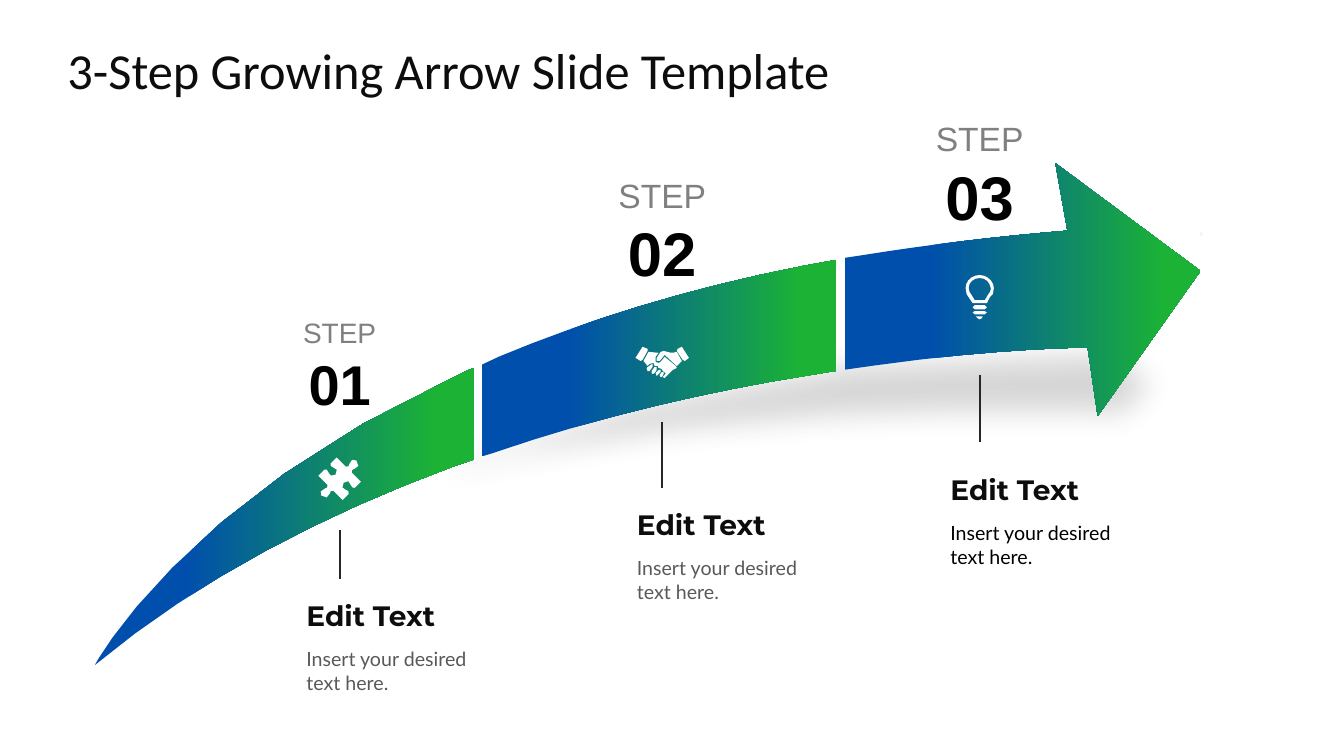
import math

from lxml import etree
from pptx import Presentation
from pptx.dml.color import RGBColor
from pptx.enum.shapes import MSO_CONNECTOR
from pptx.enum.text import MSO_ANCHOR, MSO_AUTO_SIZE, PP_ALIGN
from pptx.oxml.ns import qn
from pptx.util import Cm, Pt

STRAIGHT = MSO_CONNECTOR.STRAIGHT
TOP, MIDDLE, BOTTOM = MSO_ANCHOR.TOP, MSO_ANCHOR.MIDDLE, MSO_ANCHOR.BOTTOM
LEFT, CENTER = PP_ALIGN.LEFT, PP_ALIGN.CENTER
NO_FIT, GROW = MSO_AUTO_SIZE.NONE, MSO_AUTO_SIZE.SHAPE_TO_FIT_TEXT

UNIT = Cm(0.0254)  # one step of the outline coordinates
MOST_PIECES, PIECE = 8, 4  # a curve becomes lines about one piece long

# Outlines: M = move, L = line, C = cubic curve, Z = close
SEGMENTS = [
    "M 953 0 L 1097 107 L 995 251 L 985 183 C 985 183 899 183 772 201 L 744 205 "
    "L 744 94 L 764 91 C 826 81 893 73 965 67 Z",
    "M 736 96 L 736 206 L 705 211 C 612 226 504 250 394 288 L 384 291 L 384 200 "
    "L 401 192 C 485 157 585 125 703 102 Z",
    "M 376 203 L 376 294 L 353 302 C 229 348 105 411 0 498 C 0 498 85 336 361 210 Z",
]
ARROW_SHADOW = ("M -19 512 C -19 512 236 147 978 160 L 973 101 "
                "L 1108 215 L 993 348 L 989 279 C 989 279 321 241 -19 512 Z")
SHADOW_CENTER, SHADOW_TURN = (548, 313), 4.7
TIP = "M 1097 68 L 1099 70 L 1097 74 Z"

PUZZLE = [
    "M 27 32 C 24 32 22 28 25 25 C 28 22 32 23 32 27 C 32 29 35 31 36 30 L 42 24 L 33 15 "
    "C 32 13 34 11 36 11 C 40 11 41 6 38 4 L 38 3 C 35 1 31 2 31 6 C 31 8 29 10 27 9 "
    "L 18 0 L 12 6 C 11 7 13 10 15 10 C 18 9 20 14 17 17 C 14 19 10 18 10 15 "
    "C 10 13 7 10 6 12 L 0 18 L 9 27 C 10 29 8 31 6 31 C 2 31 1 36 3 38 L 4 38 "
    "C 6 41 11 40 11 36 C 11 34 13 32 15 33 L 24 42 L 30 36 C 31 34 29 32 27 32 Z",
]
HANDSHAKE = [
    # fingers
    "M 25 30 L 24 28 L 26 25 L 28 25 L 28 27 L 26 30 Z",
    "M 21 29 L 20 26 L 23 23 L 25 23 L 25 25 L 22 28 Z",
    "M 17 27 L 16 26 L 16 24 L 19 20 L 21 20 L 21 23 L 19 26 Z",
    "M 13 24 L 12 24 L 11 21 L 15 18 L 17 17 L 17 20 L 14 24 Z",
    # left cuff and hand
    "M 0 11 L 5 14 L 7 13 L 12 4 L 12 2 L 7 0 Z",
    "M 40 19 L 29 10 L 25 15 L 23 16 L 20 15 L 20 10 L 23 6 L 13 5 L 8 14 L 12 19 L 14 17 "
    "L 18 16 L 19 19 L 22 19 L 23 21 L 26 22 L 27 24 L 30 26 L 29 28 L 27 30 L 29 31 "
    "L 32 28 L 34 26 L 37 23 L 41 21 Z",
    # right cuff and hand
    "M 53 11 L 49 14 L 47 13 L 41 4 L 42 2 L 46 0 Z",
    "M 41 5 C 36 7 32 5 28 4 L 25 5 L 21 11 L 21 14 L 24 14 L 29 8 L 41 19 L 46 14 Z",
]
BULB = [
    # socket
    "M 9 30 L 19 30 L 21 32 L 19 34 L 9 34 L 7 32 Z",
    "M 9 36 L 19 36 L 21 37 L 19 39 L 9 39 L 7 37 Z",
    "M 10 41 L 12 43 L 14 44 L 16 43 L 17 41 Z",
    # glass, outside and inside
    "M 14 0 C 6 0 0 6 0 13 L 1 19 L 3 22 L 7 28 L 21 28 L 24 22 L 27 19 L 28 13 "
    "C 28 6 21 0 14 0 Z M 25 14 L 24 17 L 22 20 L 19 25 L 9 25 L 6 20 L 4 17 "
    "L 3 13 C 3 7 8 3 14 3 C 20 3 24 7 25 13 Z",
]

# number, centre x, label top, label sizes, icon, icon width and top,
# line top and bottom, text left and top, body colour (cm)
STEPS = [
    ("01", 8.56, 7.95, (20, 40), PUZZLE, 1.07, 11.53, 13.36, 14.58, 7.72, 14.94, "595959"),
    ("02", 16.69, 4.57, (24, 44), HANDSHAKE, 1.35, 8.74, 10.64, 12.29, 16.05, 12.65, "595959"),
    ("03", 24.69, 3.15, (24, 44), BULB, 0.71, 6.93, 9.45, 11.13, 23.95, 11.76, "000000"),
]


def rgb(value):
    return RGBColor.from_string(value)


def contours(outline):
    """Turn an outline into lists of points, with curves divided into short lines."""
    found = []
    words = iter(outline.split())
    for word in words:
        if word == "Z":
            continue
        count = 3 if word == "C" else 1
        ends = [(float(next(words)), float(next(words))) for _ in range(count)]
        if word == "M":
            found.append(ends)
        elif word == "L":
            found[-1] += ends
        else:
            curve = [found[-1][-1]] + ends
            pieces = min(MOST_PIECES, math.ceil(math.dist(curve[0], curve[-1]) / PIECE))
            for i in range(1, pieces + 1):
                t = i / pieces
                weights = (1 - t) ** 3, 3 * t * (1 - t) ** 2, 3 * t * t * (1 - t), t ** 3
                found[-1].append(tuple(sum(w * p[axis] for w, p in zip(weights, curve))
                                       for axis in (0, 1)))
    return found


def turned(point, center, degrees):
    a = math.radians(degrees)
    dx, dy = point[0] - center[0], point[1] - center[1]
    return (center[0] + dx * math.cos(a) - dy * math.sin(a),
            center[1] + dx * math.sin(a) + dy * math.cos(a))


def add_outline(shapes, left, top, outline, color=None, center=(0, 0), turn=0):
    builder = None
    for points in contours(outline):
        points = [turned(p, center, -turn) for p in points]
        start, *rest = [(left + x * UNIT, top + y * UNIT) for x, y in points]
        if builder is None:
            builder = shapes.build_freeform(*start, scale=1.0)
        else:
            builder.move_to(*start)
        builder.add_line_segments(rest, close=True)
    s = builder.convert_to_shape()
    s.rotation = turn
    s.shadow.inherit = False
    s.line.fill.background()
    if color:
        s.fill.solid()
        s.fill.fore_color.rgb = rgb(color)
    return s


def add_text(slide, left, top, width, height, lines, anchor=TOP, align=LEFT, margin=0, fit=NO_FIT):
    """Each line is text, size, font, colour, bold."""
    tf = slide.shapes.add_textbox(left, top, width, height).text_frame
    tf.word_wrap, tf.auto_size, tf.vertical_anchor = True, fit, anchor
    tf.margin_left = tf.margin_right = 0
    tf.margin_top = tf.margin_bottom = margin
    tf.text = "\n".join(line[0] for line in lines)
    for p, (_, size, font, color, bold) in zip(tf.paragraphs, lines):
        p.alignment = align
        f = p.runs[0].font
        f.size, f.name, f.bold, f.color.rgb = Pt(size), font, bold, rgb(color)


def add_title(slide, left, top, width, height):
    s = slide.shapes.title
    s.left, s.top, s.width, s.height = left, top, width, height
    tf = s.text_frame
    tf.text = "3-Step Growing Arrow Slide Template"
    tf.word_wrap, tf.auto_size, tf.vertical_anchor = True, NO_FIT, MIDDLE
    tf.margin_left = tf.margin_right = tf.margin_top = tf.margin_bottom = 0
    p = tf.paragraphs[0]
    p.alignment = LEFT
    f = p.runs[0].font
    f.size, f.name, f.color.rgb = Pt(36), "Calibri", rgb("0D0D0D")


def add_arrow(slide, left, top):
    # Soft shadow below the arrow
    s = add_outline(slide.shapes, left, top, ARROW_SHADOW, "000000", SHADOW_CENTER, SHADOW_TURN)
    color = next(s._element.iter(qn("a:srgbClr")))
    etree.SubElement(color, qn("a:alpha"), val="17000")
    effects = next(s._element.iter(qn("a:effectLst")))
    etree.SubElement(effects, qn("a:softEdge"), rad=str(Cm(0.8)))
    # Gradient segments
    group = slide.shapes.add_group_shape()
    for outline in SEGMENTS:
        fill = add_outline(group.shapes, left, top, outline).fill
        fill.gradient()
        fill.gradient_angle = 0
        for stop, position, color in zip(fill.gradient_stops, (0.24, 0.9), ("004FAC", "1BB236")):
            stop.position, stop.color.rgb = position, rgb(color)
    add_outline(slide.shapes, left, top, TIP, "EEECE1")


def add_step(slide, number, center, label_top, sizes, icon, icon_width, icon_top,
             line_top, line_bottom, text_left, text_top, body_color):
    # Step label
    add_text(slide, Cm(center - 1.75), Cm(label_top), Cm(3.5), Cm(2.54),
             [("STEP", sizes[0], "Arial", "808080", False),
              (number, sizes[1], "Arial", "000000", True)], MIDDLE, CENTER)
    # Icon
    group = slide.shapes.add_group_shape()
    for outline in icon:
        add_outline(group.shapes, Cm(center - icon_width / 2), Cm(icon_top), outline, "FFFFFF")
    # Line down to the text
    line = slide.shapes.add_connector(STRAIGHT, Cm(center), Cm(line_top), Cm(center), Cm(line_bottom))
    line.line.color.rgb, line.line.width = rgb("262626"), Pt(1.5)
    etree.SubElement(line._element.spPr, qn("a:effectLst"))
    # Heading and body
    add_text(slide, Cm(text_left), Cm(text_top), Cm(4.67), Cm(1.12),
             [("Edit Text", 20, "Montserrat", "0D0D0D", True)], BOTTOM, LEFT, Cm(0.13), GROW)
    add_text(slide, Cm(text_left), Cm(text_top + 1.24), Cm(4.67), Cm(1.45),
             [("Insert your desired text here.", 14, "Lato", body_color, False)],
             TOP, LEFT, Cm(0.13), GROW)


def main():
    prs = Presentation()
    prs.slide_width, prs.slide_height = Cm(33.87), Cm(19.05)
    slide = prs.slides.add_slide(prs.slide_layouts[5])
    add_arrow(slide, Cm(2.39), Cm(4.11))
    add_title(slide, Cm(1.7), Cm(0.76), Cm(30.48), Cm(1.98))
    for step in STEPS:
        add_step(slide, *step)
    prs.save("out.pptx")


if __name__ == "__main__":
    main()
